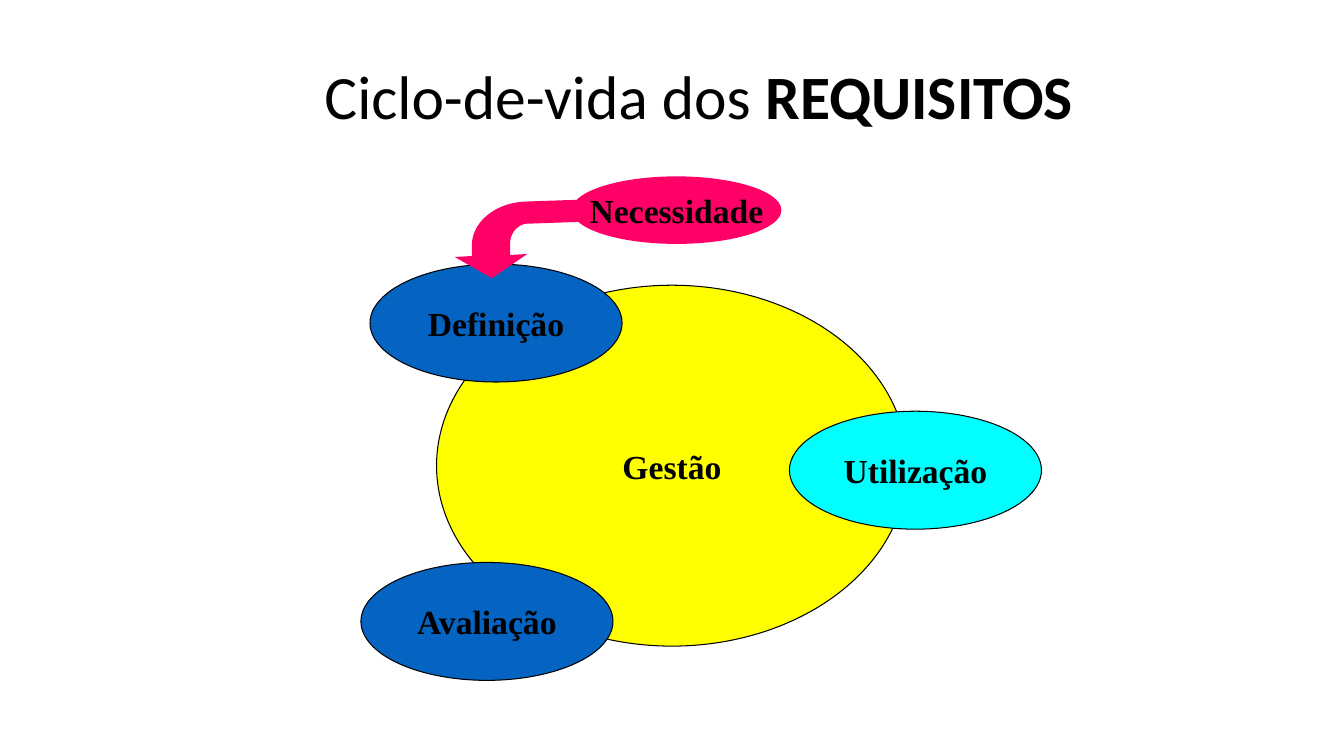
from pptx import Presentation
from pptx.dml.color import RGBColor
from pptx.enum.shapes import MSO_SHAPE
from pptx.enum.text import MSO_ANCHOR, PP_ALIGN
from pptx.util import Inches, Pt

BLACK = RGBColor(0, 0, 0)
YELLOW = RGBColor(0xFF, 0xFF, 0)
BLUE = RGBColor(0x05, 0x63, 0xC1)
CYAN = RGBColor(0, 0xFF, 0xFF)
PINK = RGBColor(0xFF, 0, 0x66)
STAGE_SIZE = (2.5, 1.17)
CURVE_STEPS = 16


def add_span(para, text, font="Calibri", size=44, bold=False):
    span = para.add_run()
    span.text = text
    span.font.name = font
    span.font.size = Pt(size)
    span.font.bold = bold
    span.font.color.rgb = BLACK


def paint(shape, fill, outlined=False):
    shape.shadow.inherit = False
    shape.fill.solid()
    shape.fill.fore_color.rgb = fill
    if outlined:
        shape.line.color.rgb = BLACK
        shape.line.width = Pt(0.75)
    else:
        shape.line.fill.background()


def add_title(page):
    box = page.shapes.add_textbox(Inches(3.12), Inches(0.38), Inches(8.43), Inches(1.21))
    frame = box.text_frame
    frame.word_wrap = True
    frame.vertical_anchor = MSO_ANCHOR.MIDDLE
    para = frame.paragraphs[0]
    para.line_spacing = 0.9
    add_span(para, "Ciclo-de-vida dos ")
    add_span(para, "REQUISITOS", bold=True)


def add_ellipse(page, text, left, top, size=STAGE_SIZE, fill=BLUE, outlined=True):
    width, height = size
    ellipse = page.shapes.add_shape(
        MSO_SHAPE.OVAL, Inches(left), Inches(top), Inches(width), Inches(height))
    paint(ellipse, fill, outlined)
    frame = ellipse.text_frame
    frame.word_wrap = False
    frame.vertical_anchor = MSO_ANCHOR.MIDDLE
    para = frame.paragraphs[0]
    para.alignment = PP_ALIGN.CENTER
    add_span(para, text, font="Times New Roman", size=24, bold=True)


def curve_points(*controls):
    points = []
    for step in range(1, CURVE_STEPS + 1):
        t = step / CURVE_STEPS
        weights = ((1 - t) ** 3, 3 * t * (1 - t) ** 2, 3 * t ** 2 * (1 - t), t ** 3)
        points.append(tuple(
            sum(weight * value for weight, value in zip(weights, axis))
            for axis in zip(*controls)))
    return points


def add_bent_arrow(page):
    outer = curve_points((4.68, 2.45), (4.67, 2.21), (4.91, 2.01), (5.21, 2))
    inner = curve_points((5.22, 2.22), (5.13, 2.23), (5.05, 2.32), (5.06, 2.44))
    points = [(4.88, 2.76), (4.51, 2.55), (4.68, 2.54), (4.68, 2.45), *outer,
              (5.78, 1.98), (5.79, 2.2), (5.22, 2.22), *inner,
              (5.06, 2.53), (5.23, 2.52)]
    start, *rest = [(Inches(x), Inches(y)) for x, y in points]
    builder = page.shapes.build_freeform(*start)
    builder.add_line_segments(rest, close=True)
    paint(builder.convert_to_shape(), PINK)


def main():
    deck = Presentation()
    deck.slide_width = Inches(13.33)
    deck.slide_height = Inches(7.5)
    page = deck.slides.add_slide(deck.slide_layouts[6])
    add_ellipse(page, "Gestão", 4.33, 2.83, size=(4.67, 3.58), fill=YELLOW)
    add_ellipse(page, "Definição", 3.67, 2.62)
    add_ellipse(page, "Necessidade", 5.67, 1.75, size=(2.08, 0.67), fill=PINK, outlined=False)
    add_title(page)
    add_ellipse(page, "Utilização", 7.83, 4.08, fill=CYAN)
    add_ellipse(page, "Avaliação", 3.58, 5.58)
    add_bent_arrow(page)
    deck.save("out.pptx")


if __name__ == "__main__":
    main()
